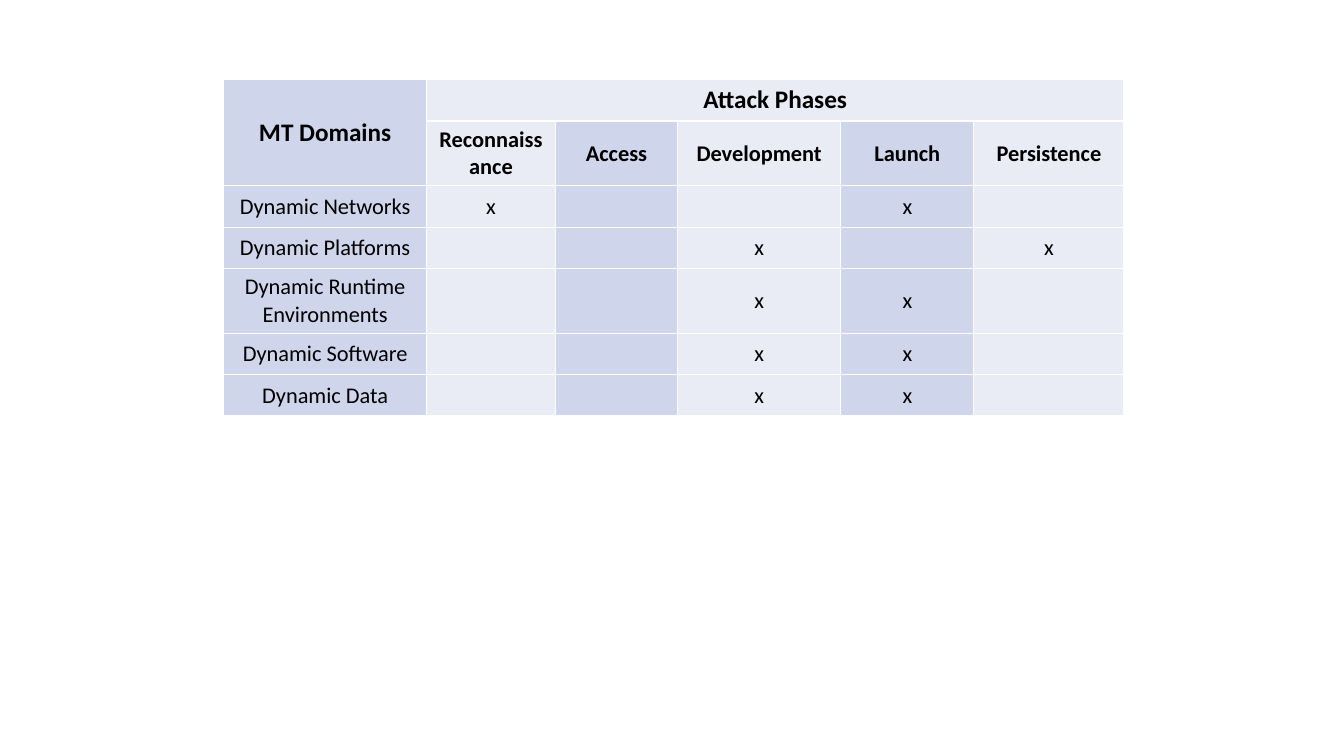
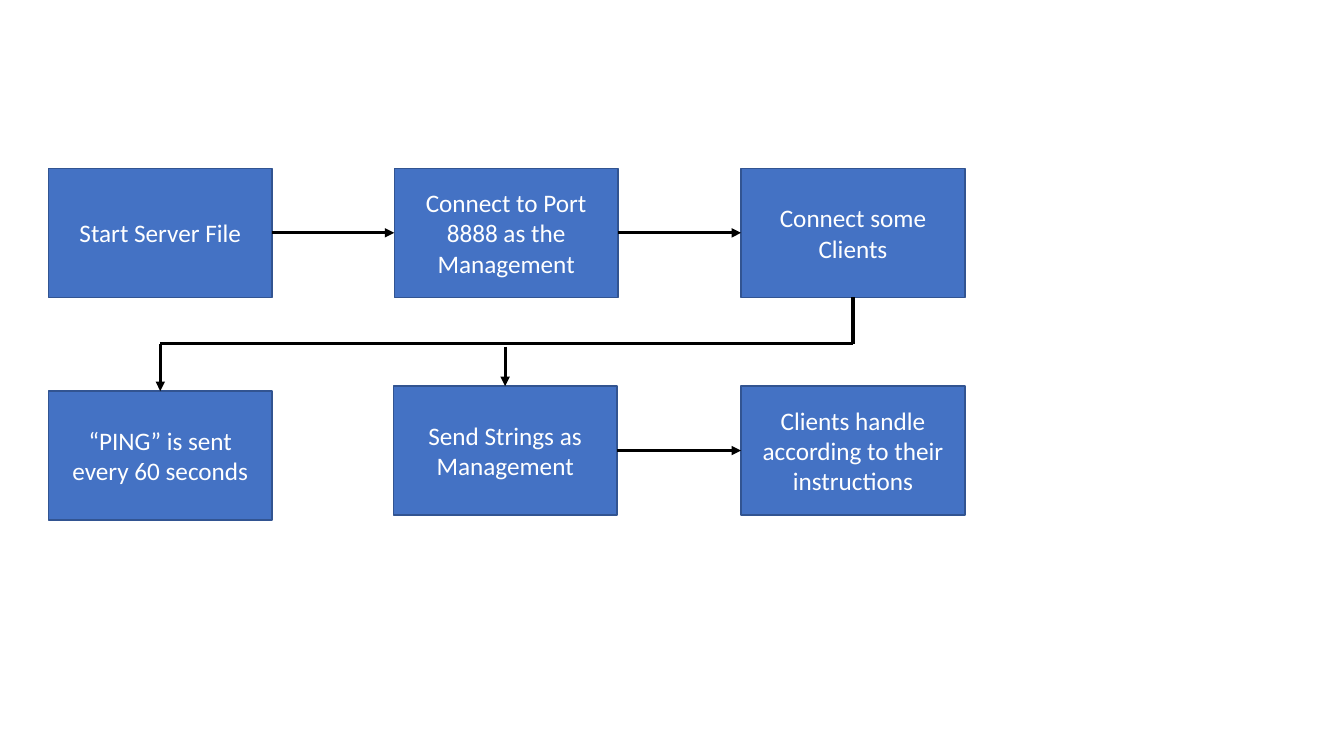
from dataclasses import dataclass
from typing import NamedTuple

from lxml.etree import SubElement
from pptx import Presentation
from pptx.dml.color import RGBColor
from pptx.enum.shapes import MSO_CONNECTOR as Connector, MSO_SHAPE as Preset
from pptx.enum.text import MSO_ANCHOR as Anchor, PP_ALIGN as Align
from pptx.oxml.ns import qn
from pptx.util import Inches, Pt

COLORS = {
    "dark_band": "CFD5EA",
    "light_band": "E9EBF5",
    "border": "FFFFFF",
    "step": "4472C4",
    "step_line": "325491",
    "step_text": "FFFFFF",
    "ink": "000000",
}
FONT = "Calibri"
BLANK_LAYOUT = 6
TOP, LEFT, BOTTOM, RIGHT = range(4)


@dataclass(frozen=True)
class Step:
    text: str
    left: float
    top: float
    width: float = 2.22
    height: float = 1.28


class Site(NamedTuple):
    step: object
    side: int


class Point(NamedTuple):
    x: float
    y: float


class Domain(NamedTuple):
    name: str
    phases: tuple[str, ...]


def rgb(name: str) -> RGBColor:
    return RGBColor.from_string(COLORS[name])


def write_centered(frame, text: str, color: str, size: int = 18, bold: bool = False) -> None:
    paragraph = frame.paragraphs[0]
    paragraph.alignment = Align.CENTER
    run = paragraph.add_run()
    run.text = text
    for attribute, value in {"name": FONT, "size": Pt(size), "bold": bold}.items():
        setattr(run.font, attribute, value)
    run.font.color.rgb = rgb(color)


def add_borders(cell) -> None:
    properties = cell._tc.get_or_add_tcPr()
    for edge in ("a:lnL", "a:lnR", "a:lnT", "a:lnB"):
        line = SubElement(properties, qn(edge), w=str(Pt(1)))
        fill = SubElement(line, qn("a:solidFill"))
        SubElement(fill, qn("a:srgbClr"), val=COLORS["border"])


def format_cell(cell, band: str) -> None:
    add_borders(cell)
    cell.fill.solid()
    cell.fill.fore_color.rgb = rgb(band)
    cell.vertical_anchor = Anchor.MIDDLE


def add_phase_table(slide, phases: tuple[str, ...], domains: list[Domain]) -> None:
    widths = (2.01, 1.28, 1.21, 1.62, 1.32, 1.49)
    rows = len(domains) + 2
    frame = slide.shapes.add_table(
        rows, len(widths), Inches(2.22), Inches(0.79), Inches(sum(widths)), Inches(3.3)
    )
    table = frame.table
    for option in ("first_row", "horz_banding"):
        setattr(table, option, False)
    for column, width in zip(table.columns, widths):
        column.width = Inches(width)
    for row in table.rows:
        row.height = Inches(0.41)
    for row in range(rows):
        for column in range(len(widths)):
            merged_header = row == 0 and column > 0
            light = merged_header or column % 2 == 1
            format_cell(table.cell(row, column), "light_band" if light else "dark_band")

    table.cell(0, 0).merge(table.cell(1, 0))
    table.cell(0, 1).merge(table.cell(0, len(phases)))
    for column, heading in enumerate(("MT Domains", "Attack Phases")):
        write_centered(table.cell(0, column).text_frame, heading, "ink", bold=True)
    for column, phase in enumerate(phases, 1):
        write_centered(table.cell(1, column).text_frame, phase, "ink", 16, True)
    for row, domain in enumerate(domains, 2):
        write_centered(table.cell(row, 0).text_frame, domain.name, "ink", 16)
        for phase in domain.phases:
            mark = table.cell(row, phases.index(phase) + 1)
            write_centered(mark.text_frame, "x", "ink", 16)


def add_step(slide, step: Step):
    box = slide.shapes.add_shape(
        Preset.RECTANGLE, *map(Inches, (step.left, step.top, step.width, step.height))
    )
    box.shadow.inherit = False
    box.fill.solid()
    box.fill.fore_color.rgb = rgb("step")
    box.line.color.rgb = rgb("step_line")
    box.line.width = Pt(1)
    box.text_frame.word_wrap = True
    box.text_frame.vertical_anchor = Anchor.MIDDLE
    write_centered(box.text_frame, step.text, "step_text")
    return box


def add_link(slide, start: Site | Point, end: Site | Point, arrow: bool = True) -> None:
    corners = [
        Inches(value)
        for place in (start, end)
        for value in (place if isinstance(place, Point) else (0, 0))
    ]
    link = slide.shapes.add_connector(Connector.STRAIGHT, *corners)
    for place, connect in ((start, link.begin_connect), (end, link.end_connect)):
        if isinstance(place, Site):
            connect(place.step, place.side)
    link.line.color.rgb = rgb("ink")
    link.line.width = Pt(2.25)
    if arrow:
        SubElement(link.line._get_or_add_ln(), qn("a:tailEnd"), type="triangle")
    SubElement(link._element.spPr, qn("a:effectLst"))


def build_attack_phases(slide) -> None:
    phases = ("Reconnaissance", "Access", "Development", "Launch", "Persistence")
    domains = [
        Domain("Dynamic Networks", ("Reconnaissance", "Launch")),
        Domain("Dynamic Platforms", ("Development", "Persistence")),
        Domain("Dynamic Runtime Environments", ("Development", "Launch")),
        Domain("Dynamic Software", ("Development", "Launch")),
        Domain("Dynamic Data", ("Development", "Launch")),
    ]
    add_phase_table(slide, phases, domains)


def build_server_flow(slide) -> None:
    steps = (
        Step("Start Server File", 0.48, 1.67),
        Step("Connect to Port 8888 as the Management", 3.91, 1.67),
        Step("Connect some Clients", 7.35, 1.67),
        Step("“PING” is sent every 60 seconds", 0.48, 3.88),
        Step("Send Strings as Management", 3.9, 3.83),
        Step("Clients handle according to their instructions", 7.35, 3.83),
    )
    start, manage, clients, ping, send, handle = (add_step(slide, step) for step in steps)
    for source, target in ((start, manage), (manage, clients), (send, handle)):
        add_link(slide, Site(source, RIGHT), Site(target, LEFT))

    branch_left, branch_right = Point(1.59, 3.41), Point(8.46, 3.41)
    add_link(slide, Site(clients, BOTTOM), branch_right, arrow=False)
    add_link(slide, branch_left, branch_right, arrow=False)
    add_link(slide, branch_left, Site(ping, TOP))
    add_link(slide, Point(5.01, 3.44), Site(send, TOP))


def main() -> None:
    deck = Presentation()
    deck.slide_width, deck.slide_height = Inches(13.33), Inches(7.5)
    for build in (build_attack_phases, build_server_flow):
        build(deck.slides.add_slide(deck.slide_layouts[BLANK_LAYOUT]))
    deck.save("out.pptx")


main()
